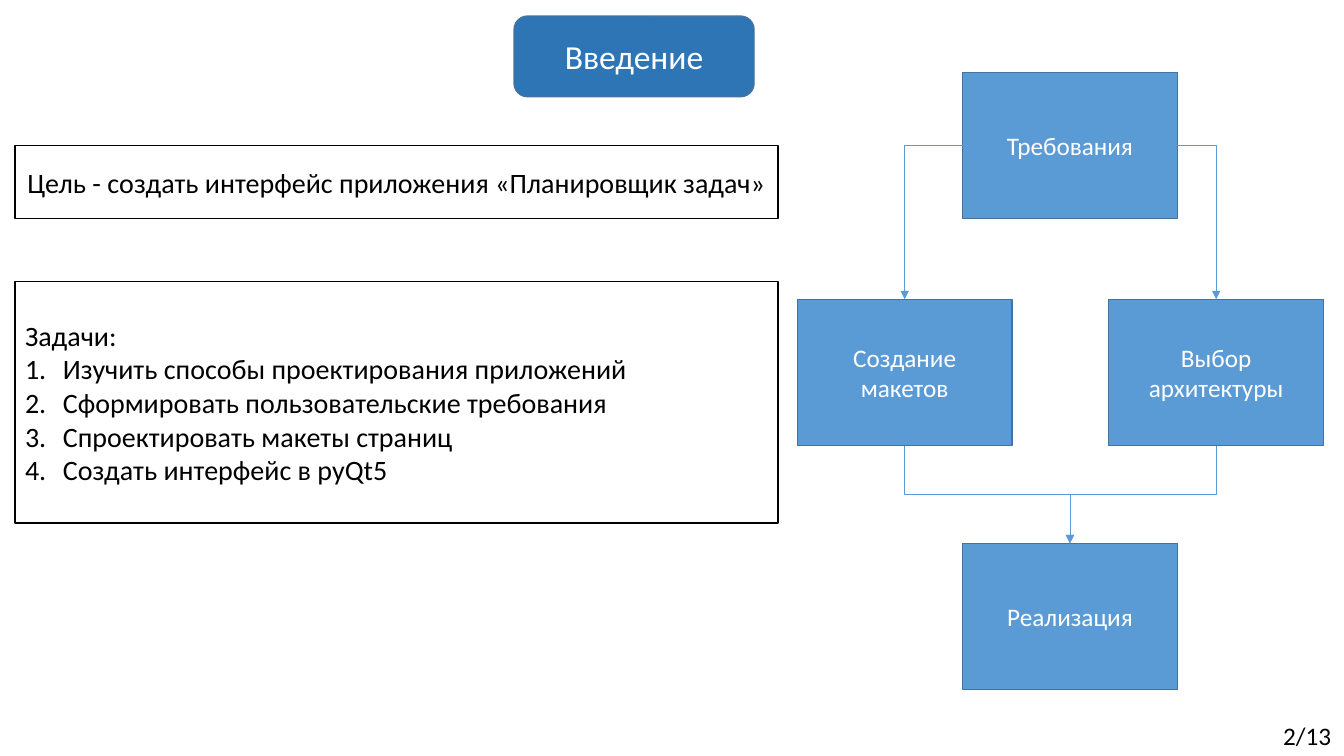
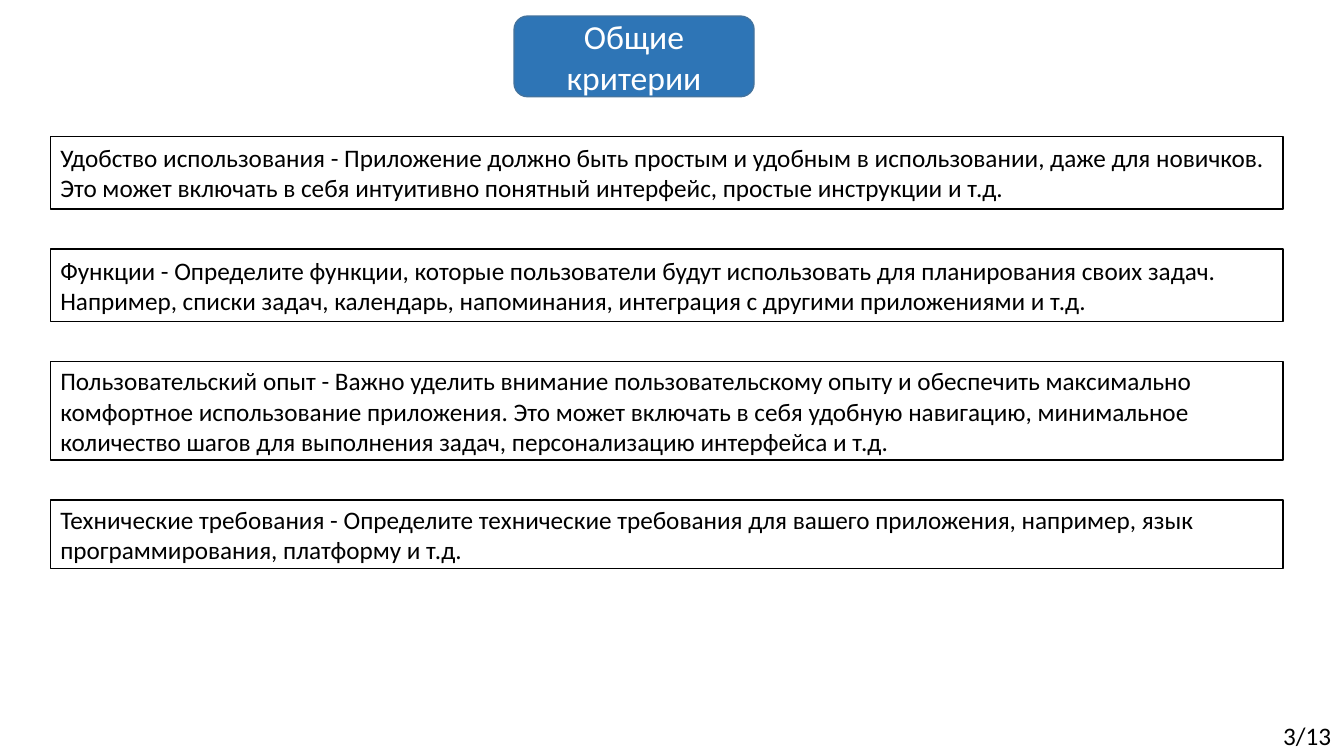
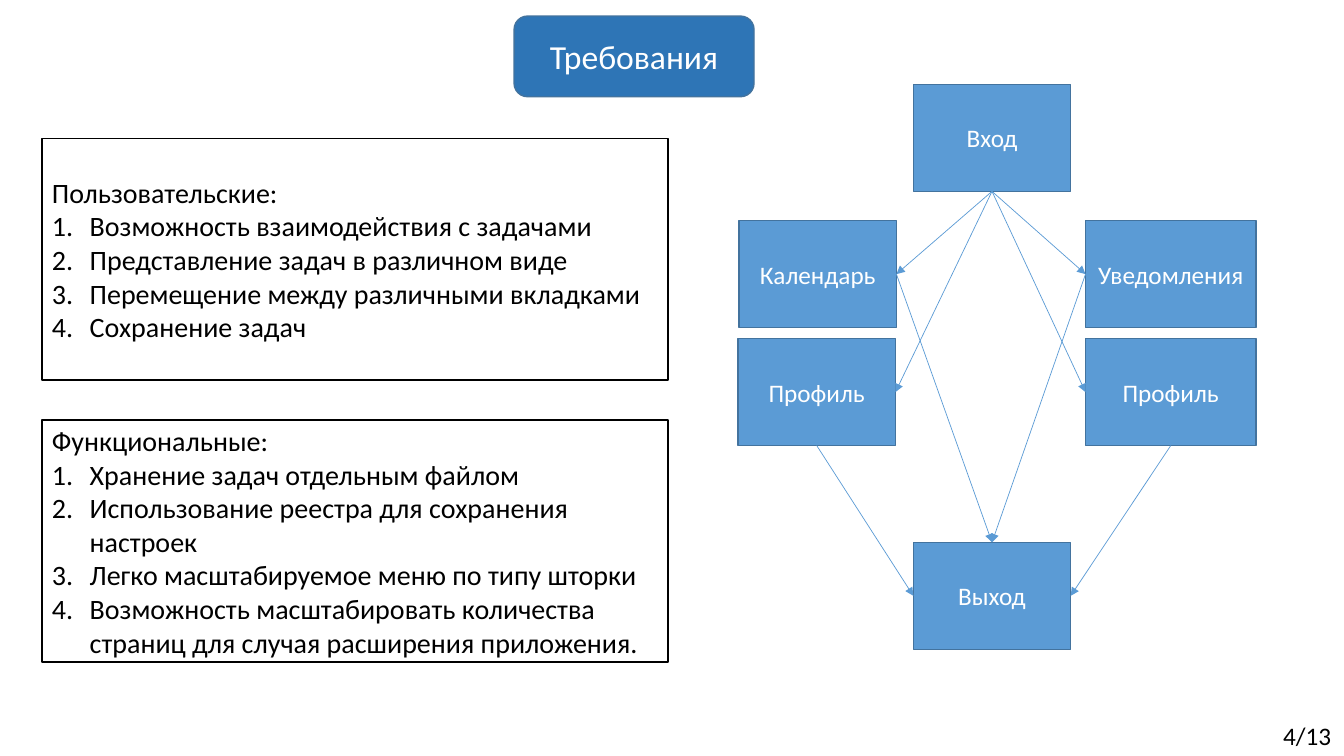
import lxml.etree
import pptx
import pptx.dml.color
import pptx.enum.shapes
import pptx.enum.text
import pptx.oxml.ns
import pptx.util

Pt = pptx.util.Pt
SHAPES = pptx.enum.shapes.MSO_SHAPE
CONNECTORS = pptx.enum.shapes.MSO_CONNECTOR
ALIGN = pptx.enum.text.PP_ALIGN
ANCHOR = pptx.enum.text.MSO_ANCHOR

COLORS = {
    "title": "2E75B6",
    "node": "5B9BD5",
    "node_border": "43739E",
    "paper": "FFFFFF",
    "ink": "000000",
}
FONT = "Calibri"
TITLE_BOX = (367.2, 11.5, 171.4, 57.6)
PAGE_BOX = (909.4, 511.2, 50.6, 28.8)
PAGE_COUNT = 13
LIST_INDENT = 27
PANEL_GAP = 28.5
TOP, LEFT, BOTTOM, RIGHT = range(4)  # connection sites of a rectangle


def rgb(name):
    return pptx.dml.color.RGBColor.from_string(COLORS[name])


def tag(name):
    return pptx.oxml.ns.qn(name)


def add_text(paragraph, text, size, color):
    run = paragraph.add_run()
    run.text = text
    run.font.name = FONT
    run.font.size = Pt(size)
    run.font.color.rgb = rgb(color)


def add_box(slide, box, fill, border, kind=SHAPES.RECTANGLE):
    shape = slide.shapes.add_shape(kind, *map(Pt, box))
    shape.shadow.inherit = False
    shape.fill.solid()
    shape.fill.fore_color.rgb = rgb(fill)
    shape.line.color.rgb = rgb(border)
    shape.line.width = Pt(1)
    shape.text_frame.word_wrap = True
    shape.text_frame.vertical_anchor = ANCHOR.MIDDLE
    return shape


def add_label(slide, box, text, size, fill, kind=SHAPES.RECTANGLE):
    """Filled box with white centred text."""
    shape = add_box(slide, box, fill, "node_border", kind)
    paragraph = shape.text_frame.paragraphs[0]
    paragraph.alignment = ALIGN.CENTER
    add_text(paragraph, text, size, "paper")
    return shape


def add_panel(slide, box, text, size=20, items=(), align=ALIGN.LEFT):
    """White framed box: a paragraph and an optional numbered list."""
    frame = add_box(slide, box, "paper", "ink").text_frame
    heading = frame.paragraphs[0]
    heading.alignment = align
    add_text(heading, text, size, "ink")
    for item in items:
        paragraph = frame.add_paragraph()
        paragraph.alignment = align
        properties = paragraph._p.get_or_add_pPr()
        properties.set("marL", str(Pt(LIST_INDENT)))
        properties.set("indent", str(-Pt(LIST_INDENT)))
        lxml.etree.SubElement(properties, tag("a:buAutoNum"), type="arabicPeriod")
        add_text(paragraph, item, size, "ink")


def add_panel_stack(slide, left, top, width, panels, size):
    """Panels of (height, text, items), one below the other at equal gaps."""
    for height, text, items in panels:
        add_panel(slide, (left, top, width, height), text, size, items)
        top += height + PANEL_GAP


def add_arrow(slide, source, source_site, target, target_site, kind=CONNECTORS.STRAIGHT):
    arrow = slide.shapes.add_connector(kind, 0, 0, 0, 0)
    arrow.begin_connect(source, source_site)
    arrow.end_connect(target, target_site)
    arrow.line.color.rgb = rgb("node")
    arrow.line.width = Pt(0.5)
    lxml.etree.SubElement(arrow.line._get_or_add_ln(), tag("a:tailEnd"), type="triangle")
    lxml.etree.SubElement(arrow._element.spPr, tag("a:effectLst"))
    return arrow


def add_corner_arrow(slide, source, source_site, target):
    """Leaves sideways and turns once, down to the target's top."""
    arrow = add_arrow(slide, source, source_site, target, TOP, CONNECTORS.ELBOW)
    arrow._element.spPr.find(tag("a:prstGeom")).set("prst", "bentConnector2")


def add_step_arrow(slide, source, target):
    """Runs down, across and down; the preset runs sideways, so it is turned."""
    arrow = add_arrow(slide, source, BOTTOM, target, TOP, CONNECTORS.ELBOW)
    rightwards = arrow.end_x > arrow.begin_x
    middle_x = (arrow.begin_x + arrow.end_x) // 2
    middle_y = (arrow.begin_y + arrow.end_y) // 2
    arrow.width, arrow.height = arrow.height, arrow.width
    arrow.left = middle_x - arrow.width // 2
    arrow.top = middle_y - arrow.height // 2
    frame = arrow._element.spPr.find(tag("a:xfrm"))
    frame.set("rot", str((270 if rightwards else 90) * 60000))
    frame.set("flipH", "1" if rightwards else "0")


def add_node(slide, origin, offset, size, text):
    box = (origin[0] + offset[0], origin[1] + offset[1], *size)
    return add_label(slide, box, text, 18, "node")


def add_work_flow(slide, left, top):
    origin, size = (left, top), (153.4, 104.5)
    needs = add_node(slide, origin, (118.1, 0), size, "Требования")
    architecture = add_node(slide, origin, (222.5, 162.1), size, "Выбор архитектуры")
    mockups = add_node(slide, origin, (0, 162.1), size, "Создание макетов")
    build = add_node(slide, origin, (118.1, 336.4), size, "Реализация")
    for side, step in ((RIGHT, architecture), (LEFT, mockups)):
        add_corner_arrow(slide, needs, side, step)
        add_step_arrow(slide, step, build)


def add_screen_map(slide, left, top):
    origin = (left, top)
    size, wide = (112.4, 76.4), (121.7, 76.4)
    upper, lower, right = 97.3, 181.6, 248.2
    entry = add_node(slide, origin, (125.2, 0), size, "Вход")
    exit_node = add_node(slide, origin, (125.2, 327.1), size, "Выход")
    calendar = add_node(slide, origin, (0.7, upper), size, "Календарь")
    profile = add_node(slide, origin, (0, lower), size, "Профиль")
    notices = add_node(slide, origin, (right, upper), wide, "Уведомления")
    right_profile = add_node(slide, origin, (right, lower), wide, "Профиль")
    for upper_node, lower_node, inner, outer in (
        (calendar, profile, RIGHT, LEFT),
        (notices, right_profile, LEFT, RIGHT),
    ):
        add_arrow(slide, entry, BOTTOM, upper_node, inner)
        add_arrow(slide, entry, BOTTOM, lower_node, inner)
        add_arrow(slide, upper_node, inner, exit_node, TOP)
        add_arrow(slide, lower_node, BOTTOM, exit_node, outer)


def add_page(deck, title, number):
    """Blank slide with the shared title and page number."""
    slide = deck.slides.add_slide(deck.slide_layouts[6])
    add_label(slide, TITLE_BOX, title, 24, "title", SHAPES.ROUNDED_RECTANGLE)
    frame = slide.shapes.add_textbox(*map(Pt, PAGE_BOX)).text_frame
    frame.word_wrap = True
    add_text(frame.paragraphs[0], f"{number}/{PAGE_COUNT}", 18, "ink")
    return slide


def build_introduction(deck):
    slide = add_page(deck, "Введение", 2)
    add_panel(slide, (10.8, 104, 545, 52),
              "Цель - создать интерфейс приложения «Планировщик задач»", align=ALIGN.CENTER)
    add_panel(slide, (10.8, 200.9, 545, 172.8), "Задачи:", items=(
        "Изучить способы проектирования приложений",
        "Сформировать пользовательские требования",
        "Спроектировать макеты страниц",
        "Создать интерфейс в pyQt5",
    ))
    add_work_flow(slide, 569.5, 51.7)


def build_criteria(deck):
    slide = add_page(deck, "Общие критерии", 3)
    add_panel_stack(slide, 36, 97.4, 880.6, (
        (52, "Удобство использования - Приложение должно быть простым и удобным "
             "в использовании, даже для новичков. Это может включать в себя "
             "интуитивно понятный интерфейс, простые инструкции и т.д.", ()),
        (52, "Функции - Определите функции, которые пользователи будут использовать "
             "для планирования своих задач. Например, списки задач, календарь, "
             "напоминания, интеграция с другими приложениями и т.д.", ()),
        (70.3, "Пользовательский опыт - Важно уделить внимание пользовательскому опыту "
               "и обеспечить максимально комфортное использование приложения. Это может "
               "включать в себя удобную навигацию, минимальное количество шагов для "
               "выполнения задач, персонализацию интерфейса и т.д.", ()),
        (49, "Технические требования - Определите технические требования для вашего "
             "приложения, например, язык программирования, платформу и т.д.", ()),
    ), 18)


def build_requirements(deck):
    slide = add_page(deck, "Требования", 4)
    add_panel_stack(slide, 30, 98.8, 447.2, (
        (172.8, "Пользовательские:", (
            "Возможность взаимодействия с задачами",
            "Представление задач в различном виде",
            "Перемещение между различными вкладками",
            "Сохранение задач",
        )),
        (172.8, "Функциональные:", (
            "Хранение задач отдельным файлом",
            "Использование реестра для сохранения настроек",
            "Легко масштабируемое меню по типу шторки",
            "Возможность масштабировать количества страниц для случая расширения приложения.",
        )),
    ), 20)
    add_screen_map(slide, 527.2, 60.3)


def main():
    deck = pptx.Presentation()
    deck.slide_width, deck.slide_height = Pt(960), Pt(540)
    build_introduction(deck)
    build_criteria(deck)
    build_requirements(deck)
    deck.save("out.pptx")


if __name__ == "__main__":
    main()
